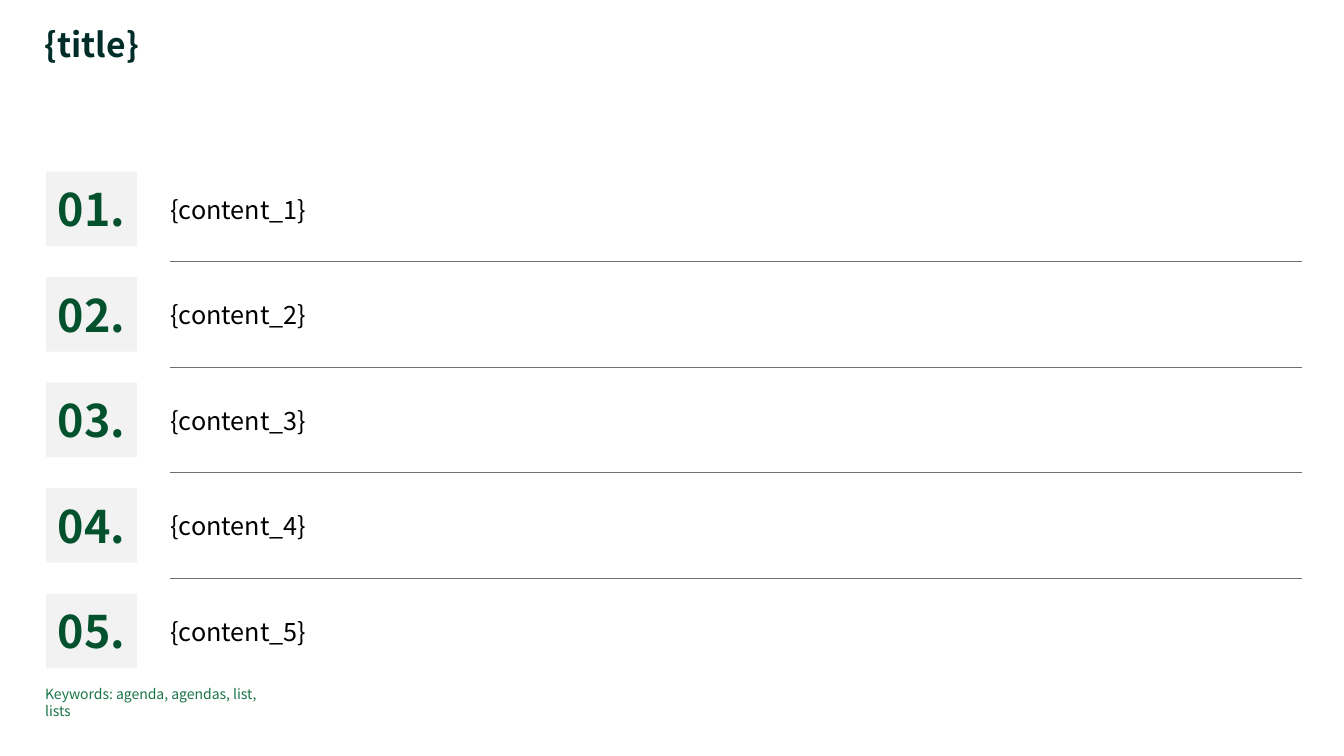
from pptx import Presentation
from pptx.dml.color import RGBColor
from pptx.enum.shapes import MSO_CONNECTOR, MSO_SHAPE
from pptx.enum.text import MSO_ANCHOR, MSO_AUTO_SIZE, PP_ALIGN
from pptx.oxml.ns import qn
from pptx.util import Pt
from lxml import etree

RECTANGLE = MSO_SHAPE.RECTANGLE
STRAIGHT = MSO_CONNECTOR.STRAIGHT
TOP, MIDDLE = MSO_ANCHOR.TOP, MSO_ANCHOR.MIDDLE
LEFT, CENTER = PP_ALIGN.LEFT, PP_ALIGN.CENTER
GROW, FIXED = MSO_AUTO_SIZE.SHAPE_TO_FIT_TEXT, MSO_AUTO_SIZE.NONE

FONT = "Noto Sans CJK JP"
ITEM_COUNT = 5
FIRST_TOP = 122.6
ROW_STEP = 75.35
BADGE_HEIGHT = 53.3
CONTENT_LEFT = 121.7
CONTENT_HEIGHT = 22.3


def color(hex_value):
    return RGBColor.from_string(hex_value)


def write(box, text, size, ink, bold=False, align=LEFT, anchor=TOP,
          wrap=True, autosize=GROW, inset=(0, 0), line_spacing=None, after=0):
    frame = box.text_frame
    frame.margin_left = frame.margin_right = Pt(inset[0])
    frame.margin_top = frame.margin_bottom = Pt(inset[1])
    frame.word_wrap = wrap
    frame.auto_size = autosize
    frame.vertical_anchor = anchor
    paragraph = frame.paragraphs[0]
    paragraph.alignment = align
    paragraph.space_before = Pt(0)
    paragraph.space_after = Pt(after)
    if line_spacing:
        paragraph.line_spacing = line_spacing
    run = paragraph.add_run()
    run.text = text
    run.font.name = FONT
    run.font.size = Pt(size)
    run.font.bold = bold
    run.font.color.rgb = color(ink)


prs = Presentation()
prs.slide_width, prs.slide_height = Pt(960), Pt(540)
slide = prs.slides.add_slide(prs.slide_layouts[5])
shapes = slide.shapes

# Title
title = shapes.title
title.left, title.top, title.width, title.height = Pt(32), Pt(20), Pt(794), Pt(27)
write(title, "{title}", 24, "002D28", bold=True, line_spacing=0.9)

# Agenda rows: number badge, content and divider
for index in range(ITEM_COUNT):
    row_top = FIRST_TOP + index * ROW_STEP

    badge = shapes.add_shape(RECTANGLE, Pt(33), Pt(row_top), Pt(65), Pt(BADGE_HEIGHT))
    badge.shadow.inherit = False
    badge.fill.solid()
    badge.fill.fore_color.rgb = color("F2F2F2")
    badge.line.fill.background()
    write(badge, f"{index + 1:02}.", 32, "03522D", bold=True, align=CENTER,
          anchor=MIDDLE, wrap=False, autosize=FIXED, inset=(14.4, 11.5))

    content_top = row_top + (BADGE_HEIGHT - CONTENT_HEIGHT) / 2
    content = shapes.add_textbox(Pt(CONTENT_LEFT), Pt(content_top),
                                 Pt(808.5), Pt(CONTENT_HEIGHT))
    write(content, f"{{content_{index + 1}}}", 18, "000000", anchor=MIDDLE)

    # Divider midway between this badge and the next
    if index < ITEM_COUNT - 1:
        divider_y = row_top + (BADGE_HEIGHT + ROW_STEP) / 2
        divider = shapes.add_connector(STRAIGHT, Pt(929.8), Pt(divider_y),
                                       Pt(CONTENT_LEFT), Pt(divider_y))
        divider.line.color.rgb = color("6E6F73")
        divider.line.width = Pt(0.5)
        etree.SubElement(divider.element.spPr, qn("a:effectLst"))

# Keywords
keywords = shapes.add_textbox(Pt(32.2), Pt(489.6), Pt(168), Pt(12.2))
write(keywords, "Keywords: agenda, agendas, list, lists", 10, "1A7449", after=1.1)

prs.save("out.pptx")
